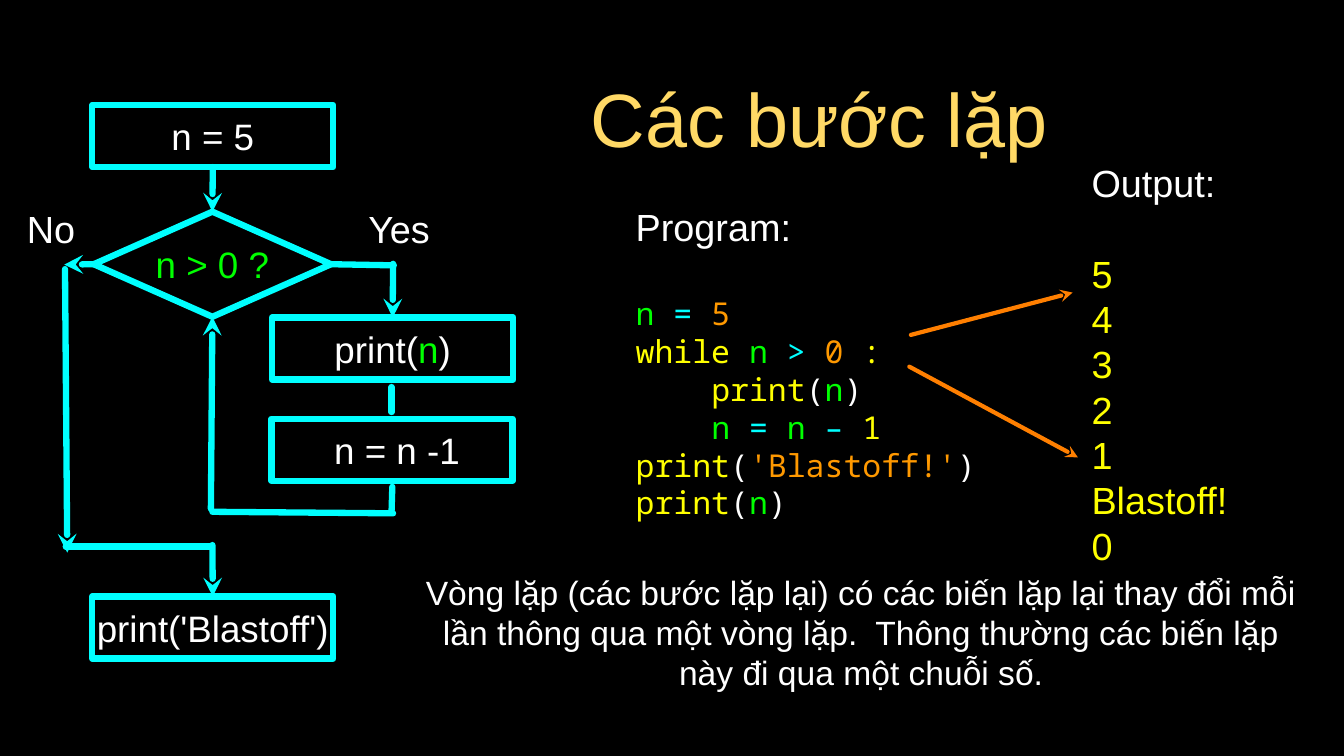
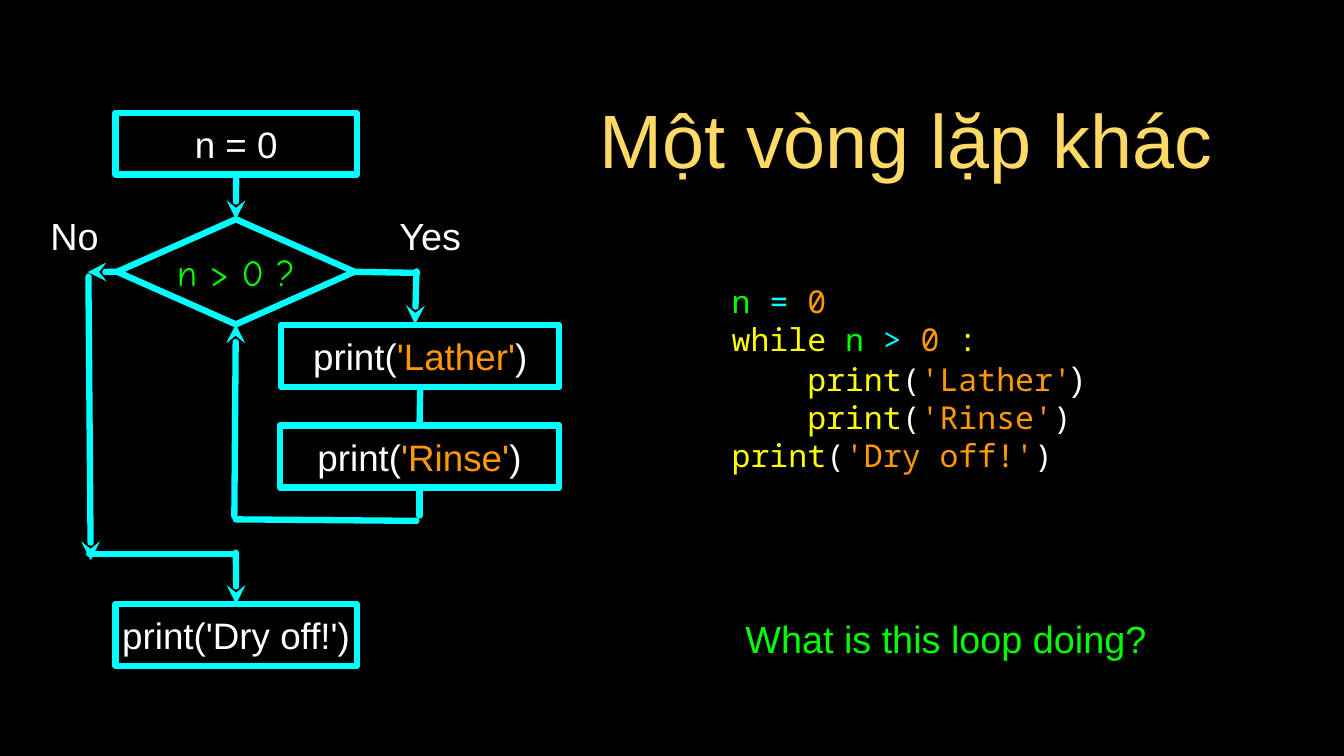
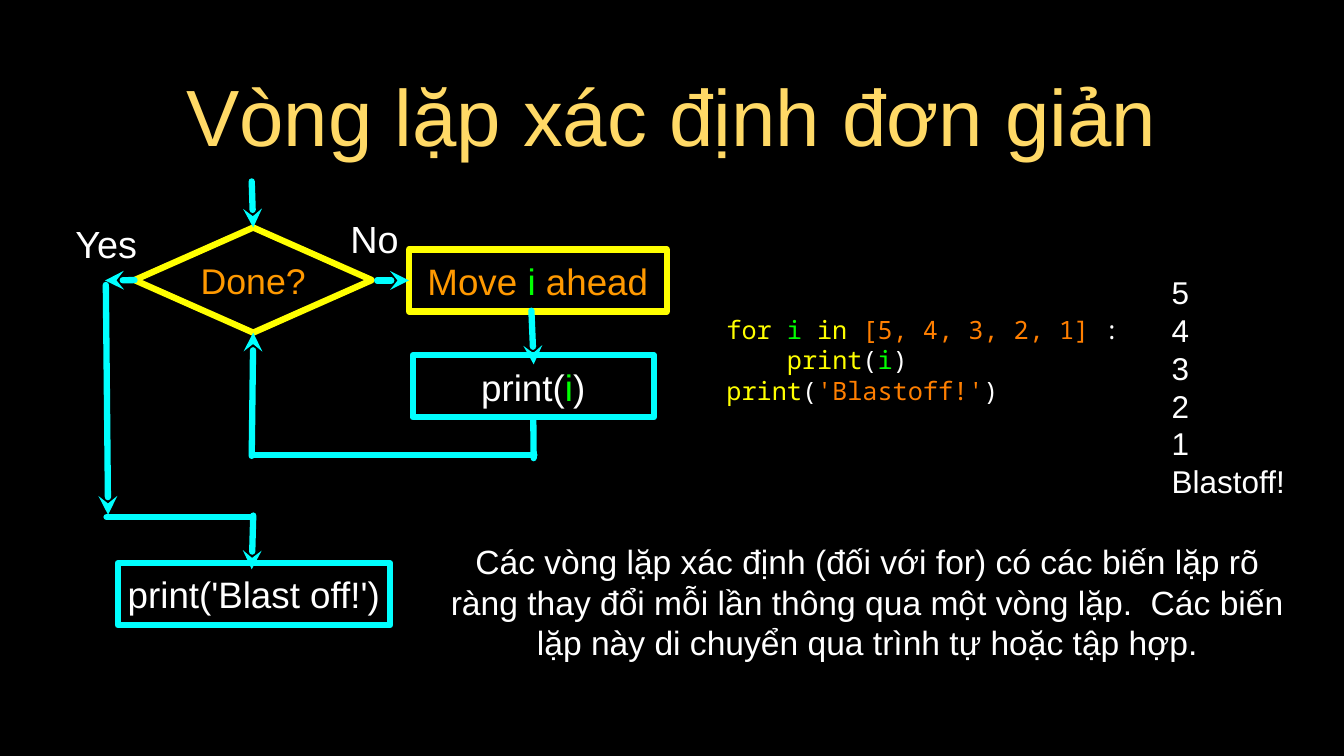
from dataclasses import dataclass
from math import hypot

from lxml.etree import SubElement
from pptx import Presentation
from pptx.dml.color import RGBColor
from pptx.enum.shapes import MSO_CONNECTOR, MSO_SHAPE
from pptx.enum.text import MSO_ANCHOR, MSO_AUTO_SIZE, PP_ALIGN
from pptx.oxml.ns import qn
from pptx.util import Inches, Pt

WHITE, GOLD, YELLOW = "FFFFFF", "FFD966", "FFFF00"
GREEN, CYAN, ORANGE, AMBER = "00FF00", "00FFFF", "FF9900", "FF7F00"
SANS, MONO = "Arial", "Noto Sans Mono"
LEADING = 1.2
JOIN_REACH = 0.06


@dataclass
class Line:
    """One paragraph: runs of (text, colour[, font, size]), code indent and lines left free after it."""
    runs: list
    indent: int = 0
    gap: int = 0


def rgb(value):
    """Turn a hex string into a colour."""
    return RGBColor.from_string(value)


def apply_format(target, values):
    """Set every attribute named in values on target."""
    for name, value in values.items():
        setattr(target, name, value)


def write_lines(frame, lines, size, font=SANS, align=PP_ALIGN.CENTER, margin=0):
    """Fill a text frame with formatted lines."""
    sides = ("margin_left", "margin_top", "margin_right", "margin_bottom")
    apply_format(frame, dict.fromkeys(sides, Inches(margin)))
    apply_format(frame, {"word_wrap": True, "auto_size": MSO_AUTO_SIZE.NONE,
                         "vertical_anchor": MSO_ANCHOR.MIDDLE})
    for index, line in enumerate(lines):
        paragraph = frame.add_paragraph() if index else frame.paragraphs[0]
        tallest = 0
        for text, color, *style in line.runs:
            run_font, run_size = style or (font, size)
            run = paragraph.add_run()
            run.text = text
            apply_format(run.font, {"name": run_font, "size": Pt(run_size), "bold": False})
            run.font.color.rgb = rgb(color)
            tallest = max(tallest, run_size)
        height = Pt(tallest * LEADING)
        apply_format(paragraph, {"alignment": align, "line_spacing": height,
                                 "space_before": Pt(0), "space_after": height * line.gap})
        if line.indent:
            properties = paragraph._p.get_or_add_pPr()
            properties.set("marL", str(Pt(line.indent * size * 0.6)))
            properties.set("indent", "0")


def add_title(slide, text, box, size=72):
    """Place and format the slide title."""
    title = slide.shapes.title
    places = ("left", "top", "width", "height")
    apply_format(title, dict(zip(places, map(Inches, box))))
    write_lines(title.text_frame, [Line([(text, GOLD)])], size, margin=0.04)


def add_text(slide, lines, box, size, font=SANS, align=PP_ALIGN.LEFT):
    """Add a text box of several lines."""
    frame = slide.shapes.add_textbox(*map(Inches, box)).text_frame
    write_lines(frame, lines, size, font, align)


def add_note(slide, text, box, size=36, color=WHITE):
    """Add centred plain text."""
    add_text(slide, [Line([(text, color)])], box, size, align=PP_ALIGN.CENTER)


def add_node(slide, nodes, runs, box, kind=MSO_SHAPE.RECTANGLE, color=CYAN, size=35):
    """Add an outlined flowchart node and remember it."""
    node = slide.shapes.add_shape(kind, *map(Inches, box))
    node.shadow.inherit = False
    node.fill.background()
    node.line.color.rgb = rgb(color)
    node.line.width = Pt(6)
    write_lines(node.text_frame, [Line(runs)], size)
    nodes.append(node)


def add_step(slide, nodes, runs, left, top, width=3.19, color=CYAN):
    """Add a rectangular flowchart step."""
    add_node(slide, nodes, runs, (left, top, width, 0.82), color=color)


def find_site(nodes, x, y):
    """Return the node and side whose middle lies at a point."""
    for node in nodes:
        middle_x = node.left + node.width // 2
        middle_y = node.top + node.height // 2
        sites = ((middle_x, node.top), (node.left, middle_y),
                 (middle_x, node.top + node.height), (node.left + node.width, middle_y))
        for site, (site_x, site_y) in enumerate(sites):
            if hypot(site_x - Inches(x), site_y - Inches(y)) < Inches(JOIN_REACH):
                return node, site
    return None


def add_link(slide, nodes, start, end, arrow=False, color=CYAN, width=6):
    """Draw a line or arrow, joined to the nodes it touches."""
    link = slide.shapes.add_connector(MSO_CONNECTOR.STRAIGHT, *map(Inches, (*start, *end)))
    link.line.color.rgb = rgb(color)
    link.line.width = Pt(width)
    properties = link._element.spPr
    outline = properties.find(qn("a:ln"))
    outline.set("cap", "rnd")
    if arrow:
        SubElement(outline, qn("a:tailEnd"), type="stealth")
    SubElement(properties, qn("a:effectLst"))
    for point, connect in ((start, link.begin_connect), (end, link.end_connect)):
        joint = find_site(nodes, *point)
        if joint:
            connect(*joint)


def add_loop(slide, nodes, x, y, test, back_y, drop_y, exit_y, color=CYAN, size=35):
    """Draw the test diamond at top centre (x, y) with its entry, return and exit paths."""
    add_node(slide, nodes, [test], (x - 1.57, y, 3.14, 1.39), MSO_SHAPE.DIAMOND, color, size)
    arrows = (
        ((x - 0.02, y - 0.61), (x, y)),
        ((x - 0.02, back_y), (x, y + 1.39)),
        ((x - 1.52, y + 0.7), (x - 1.96, y + 0.7)),
        ((x - 1.95, y + 0.76), (x - 1.92, drop_y)),
        ((x, exit_y - 0.02), (x - 0.02, exit_y + 0.69)),
    )
    for start, end in arrows:
        add_link(slide, nodes, start, end, arrow=True)
    add_link(slide, nodes, (x - 1.94, exit_y), (x - 0.02, exit_y))


def add_while_loop(slide, nodes, x, y, first, test, last):
    """Draw a while loop between its first and last steps."""
    add_step(slide, nodes, [(first, WHITE)], x - 1.59, y - 1.41)
    add_step(slide, nodes, [(last, WHITE)], x - 1.59, y + 5.09)
    add_loop(slide, nodes, x, y, test, y + 3.93, y + 4.51, y + 4.43)
    add_link(slide, nodes, (x + 1.57, y + 0.69), (x + 2.4, y + 0.71))
    add_link(slide, nodes, (x + 2.39, y + 0.69), (x + 2.37, y + 1.39), arrow=True)
    add_link(slide, nodes, (x, y + 3.97), (x + 2.39, y + 3.99))
    add_note(slide, "No", (x - 2.53, y - 0.12, 0.79, 0.68))


def call_runs(value, color, name_color=YELLOW):
    """Return the coloured runs of a print call."""
    return [("print", name_color), ("(", WHITE), (value, color), (")", WHITE)]


def assign_line(value):
    """Return the code line that sets n."""
    return Line([("n ", GREEN), ("= ", CYAN), (value, ORANGE)])


def while_line():
    """Return the code line that opens the while loop."""
    return Line([("while ", YELLOW), ("n ", GREEN), ("> ", CYAN), ("0", ORANGE), (" :", YELLOW)])


def build_iteration(slide):
    """Build the countdown loop slide."""
    nodes = []
    add_title(slide, "Các bước lặp", (5.18, 0.89, 11.32, 1.31))
    add_step(slide, nodes, call_runs("n", GREEN, WHITE), 3.6, 4.2)
    add_step(slide, nodes, [(" n = n -1", WHITE)], 3.59, 5.54)
    add_while_loop(slide, nodes, 2.81, 2.8, "n = 5", ("n > 0 ?", GREEN), "print('Blastoff')")
    add_link(slide, nodes, (5.18, 5.12), (5.18, 5.45))
    add_link(slide, nodes, (5.19, 6.44), (5.18, 6.77))
    add_note(slide, "Yes", (4.78, 2.68, 1, 0.68))
    program = [
        Line([("Program:", WHITE, SANS, 36)], gap=1),
        assign_line("5"),
        while_line(),
        Line(call_runs("n", GREEN), indent=4),
        Line([("n ", GREEN), ("= ", CYAN), ("n ", GREEN), ("–", CYAN), (" 1", YELLOW)], indent=4),
        Line(call_runs("'Blastoff!'", ORANGE)),
        Line(call_runs("n", GREEN)),
    ]
    add_text(slide, program, (8.41, 2.37, 4.63, 4.85), 30, MONO)
    output = [Line([("Output:", WHITE)], gap=1)]
    output += [Line([(value, YELLOW)]) for value in (*"54321", "Blastoff!", "0")]
    add_text(slide, output, (14.44, 2.19, 1.89, 5.24), 36)
    for start, end in (((12.05, 4.43), (14.19, 3.87)), ((12.03, 4.85), (14.26, 6.05))):
        add_link(slide, nodes, start, end, arrow=True, color=AMBER, width=4)
    add_note(slide, "Vòng lặp (các bước lặp lại) có các biến lặp lại thay đổi mỗi lần thông qua "
             "một vòng lặp.  Thông thường các biến lặp này đi qua một chuỗi số.",
             (5.59, 7.45, 11.61, 1.82), 32)


def build_other_loop(slide):
    """Build the lather and rinse loop slide."""
    nodes = []
    add_title(slide, "Một vòng lặp khác", (7.47, 0.89, 9.03, 1.88))
    add_step(slide, nodes, call_runs("'Lather'", ORANGE, WHITE), 3.72, 4.3, 3.68)
    add_step(slide, nodes, call_runs("'Rinse'", ORANGE, WHITE), 3.7, 5.63, 3.7)
    add_while_loop(slide, nodes, 3.12, 2.9, "n = 0",
                   ("n > 0 ?", GREEN, "Comic Neue", 35), "print('Dry off!')")
    add_link(slide, nodes, (5.56, 5.12), (5.55, 5.63))
    add_link(slide, nodes, (5.55, 6.45), (5.55, 6.82))
    add_note(slide, "Yes", (5.1, 2.77, 1.18, 0.68))
    program = [
        assign_line("0"),
        while_line(),
        Line(call_runs("'Lather'", ORANGE)[:-1] + [(")", WHITE, SANS, 32)], indent=4),
        Line(call_runs("'Rinse'", ORANGE), indent=4),
        Line(call_runs("'Dry off!'", ORANGE)),
    ]
    add_text(slide, program, (9.68, 3.48, 5.49, 3.03), 30, MONO)
    add_note(slide, "What is this loop doing?", (9.07, 8.11, 6.89, 0.68), color=GREEN)


def build_definite_loop(slide):
    """Build the definite for loop slide."""
    nodes = []
    add_title(slide, "Vòng lặp xác định đơn giản", (1.26, 0.89, 15.24, 1.24), 76)
    add_step(slide, nodes, [("Move ", ORANGE), ("i", GREEN), (" ahead", ORANGE)],
             5.41, 3.3, 3.41, YELLOW)
    add_step(slide, nodes, call_runs("i", GREEN, WHITE), 5.46, 4.7)
    add_step(slide, nodes, [("print('Blast off!')", WHITE)], 1.56, 7.45, 3.6)
    add_loop(slide, nodes, 3.35, 3.01, ("Done?", ORANGE), 6.03, 6.81, 6.84, YELLOW, 34)
    add_link(slide, nodes, (4.99, 3.71), (5.42, 3.71), arrow=True)
    add_link(slide, nodes, (7.03, 4.11), (7.06, 4.82), arrow=True)
    add_link(slide, nodes, (7.06, 5.52), (7.06, 6.06))
    add_link(slide, nodes, (3.36, 6.02), (7.07, 6.02))
    add_note(slide, "Yes", (0.76, 2.88, 1.29, 0.68))
    add_note(slide, "No", (4.56, 2.81, 0.79, 0.68))
    program = [
        Line([("for ", YELLOW), ("i ", GREEN), ("in ", YELLOW),
              ("[5, 4, 3, 2, 1] ", AMBER), (":", WHITE)]),
        Line(call_runs("i", GREEN), indent=4),
        Line(call_runs("'Blastoff!'", AMBER)),
    ]
    add_text(slide, program, (9.61, 3.85, 5.58, 1.82), 24, MONO)
    output = [Line([(value, WHITE)]) for value in (*"54321", "Blastoff!")]
    add_text(slide, output, (15.5, 3.35, 1.82, 3.53), 30)
    add_note(slide, "Các vòng lặp xác định (đối với for) có các biến lặp rõ ràng thay đổi mỗi lần "
             "thông qua một vòng lặp.  Các biến lặp này di chuyển qua trình tự hoặc tập hợp.",
             (5.94, 7.05, 11.08, 1.82), 32)


def main():
    """Build and save the presentation."""
    deck = Presentation()
    apply_format(deck, {"slide_width": Inches(17.78), "slide_height": Inches(10)})
    backdrop = deck.slide_master.background.fill
    backdrop.solid()
    backdrop.fore_color.rgb = rgb("000000")
    title_only = deck.slide_layouts.get_by_name("Title Only")
    for build in (build_iteration, build_other_loop, build_definite_loop):
        build(deck.slides.add_slide(title_only))
    deck.save("out.pptx")


if __name__ == "__main__":
    main()
